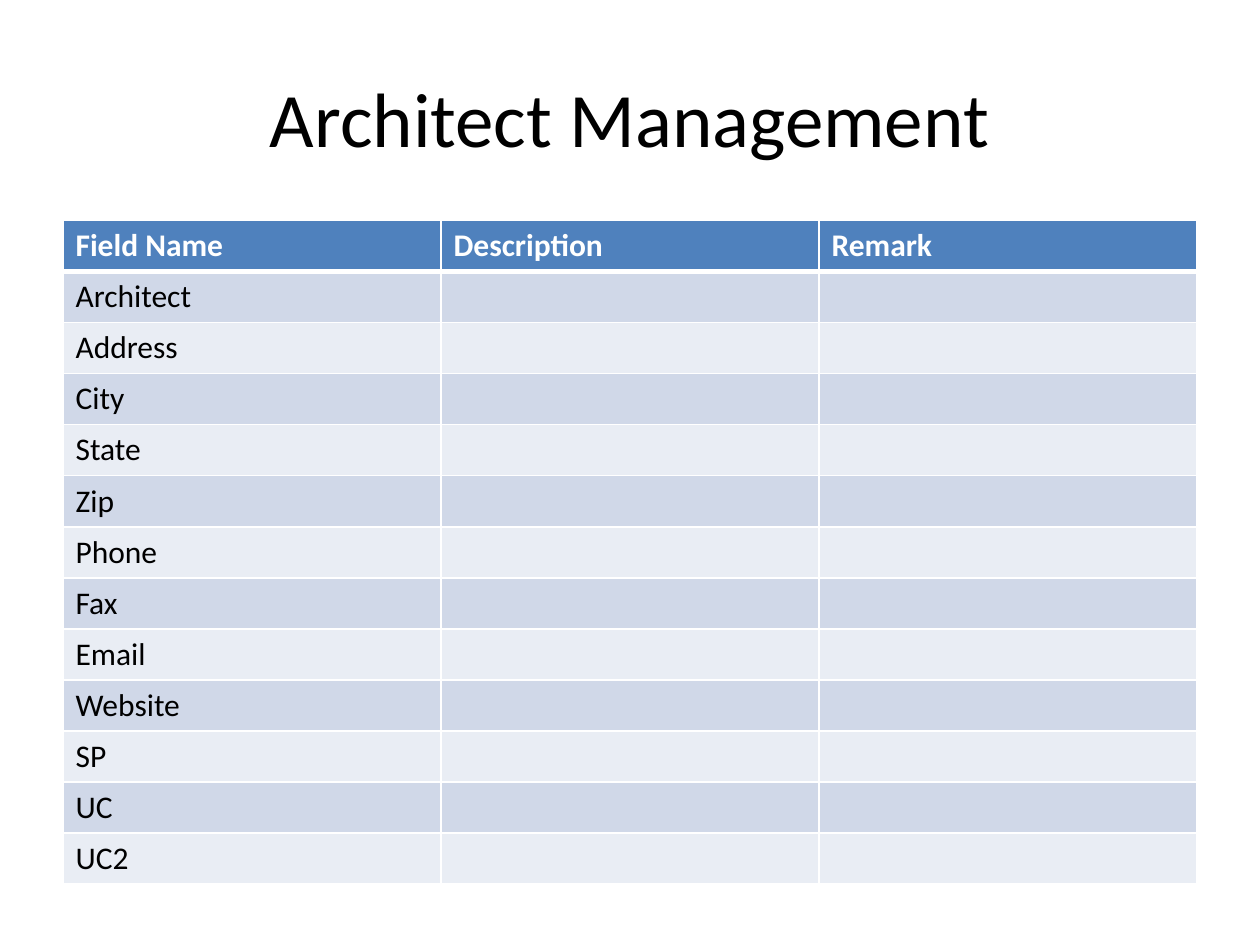
from dataclasses import dataclass

from lxml.etree import SubElement
from pptx import Presentation
from pptx.dml.color import RGBColor
from pptx.enum.text import MSO_ANCHOR as Anchor, PP_ALIGN as Align
from pptx.oxml.ns import qn
from pptx.util import Inches, Pt

FONT = "Calibri"
WHITE, BLACK, BLUE = "FFFFFF", "000000", "4F81BD"
BANDS = ("D0D8E8", "E9EDF4")
HEADS = ("Field Name", "Description", "Remark")
FIELDS = ("Architect", "Address", "City", "State", "Zip", "Phone",
          "Fax", "Email", "Website", "SP", "UC", "UC2")


@dataclass
class Row:
    texts: tuple
    fill: str
    ink: str = BLACK
    bold: bool = False
    top: float = 1
    base: float = 1


def paint(target, color: str) -> None:
    target.rgb = RGBColor.from_string(color)


def write(frame, text: str, *, size: float = 18, color: str = BLACK,
          bold: bool = False, align=Align.LEFT) -> None:
    para = frame.paragraphs[0]
    para.alignment = align
    run = para.add_run()
    run.text = text
    font = run.font
    font.name, font.size, font.bold = FONT, Pt(size), bold
    paint(font.color, color)


def edge(cell, side: str, width: float) -> None:
    props = cell._tc.get_or_add_tcPr()
    line = SubElement(props, qn(f"a:ln{side}"), w=str(Pt(width)))
    fill = SubElement(line, qn("a:solidFill"))
    SubElement(fill, qn("a:srgbClr"), val=WHITE)


def draw_row(cells, row: Row) -> None:
    for cell, text in zip(cells, row.texts):
        for side, width in zip("LRTB", (1, 1, row.top, row.base)):
            edge(cell, side, width)
        cell.fill.solid()
        paint(cell.fill.fore_color, row.fill)
        if text:
            write(cell.text_frame, text, color=row.ink, bold=row.bold)


def draw_title(slide, text: str) -> None:
    box = slide.shapes.add_textbox(Inches(0.5), Inches(0.3), Inches(9), Inches(1.25))
    frame = box.text_frame
    frame.word_wrap = True
    frame.vertical_anchor = Anchor.MIDDLE
    write(frame, text, size=44, align=Align.CENTER)


def draw_table(slide, rows: list[Row]) -> None:
    table = slide.shapes.add_table(
        len(rows), len(HEADS), Inches(0.5), Inches(1.75), Inches(9), Inches(5.27)
    ).table
    for line, row in zip(table.rows, rows):
        draw_row(line.cells, row)


def main() -> None:
    deck = Presentation()
    deck.slide_width, deck.slide_height = Inches(10), Inches(7.5)
    slide = deck.slides.add_slide(deck.slide_layouts[6])
    draw_title(slide, "Architect Management")
    head = Row(HEADS, BLUE, ink=WHITE, bold=True, base=3)
    body = [Row((name, "", ""), BANDS[i % 2], top=1 if i else 3)
            for i, name in enumerate(FIELDS)]
    draw_table(slide, [head, *body])
    deck.save("out.pptx")


if __name__ == "__main__":
    main()
